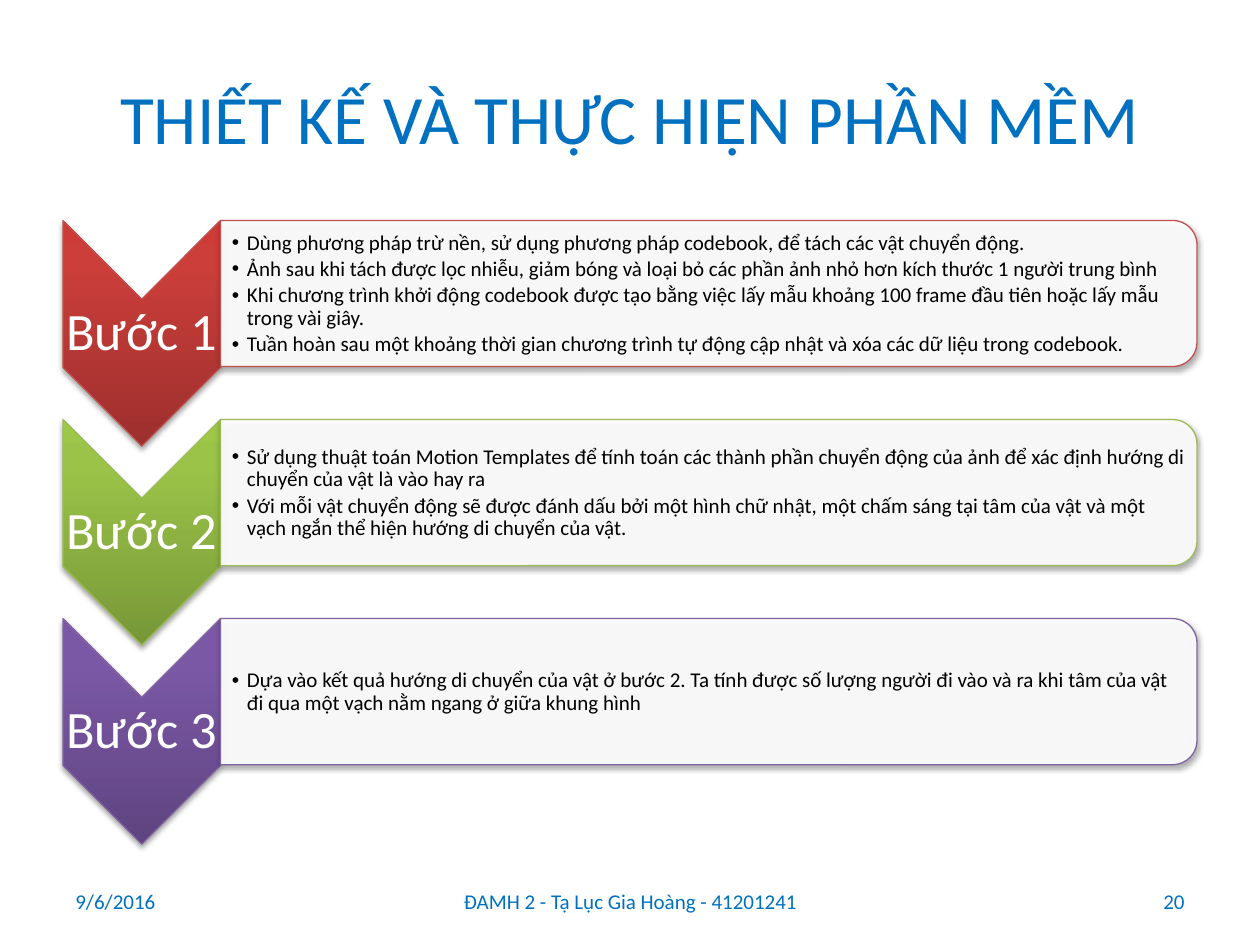
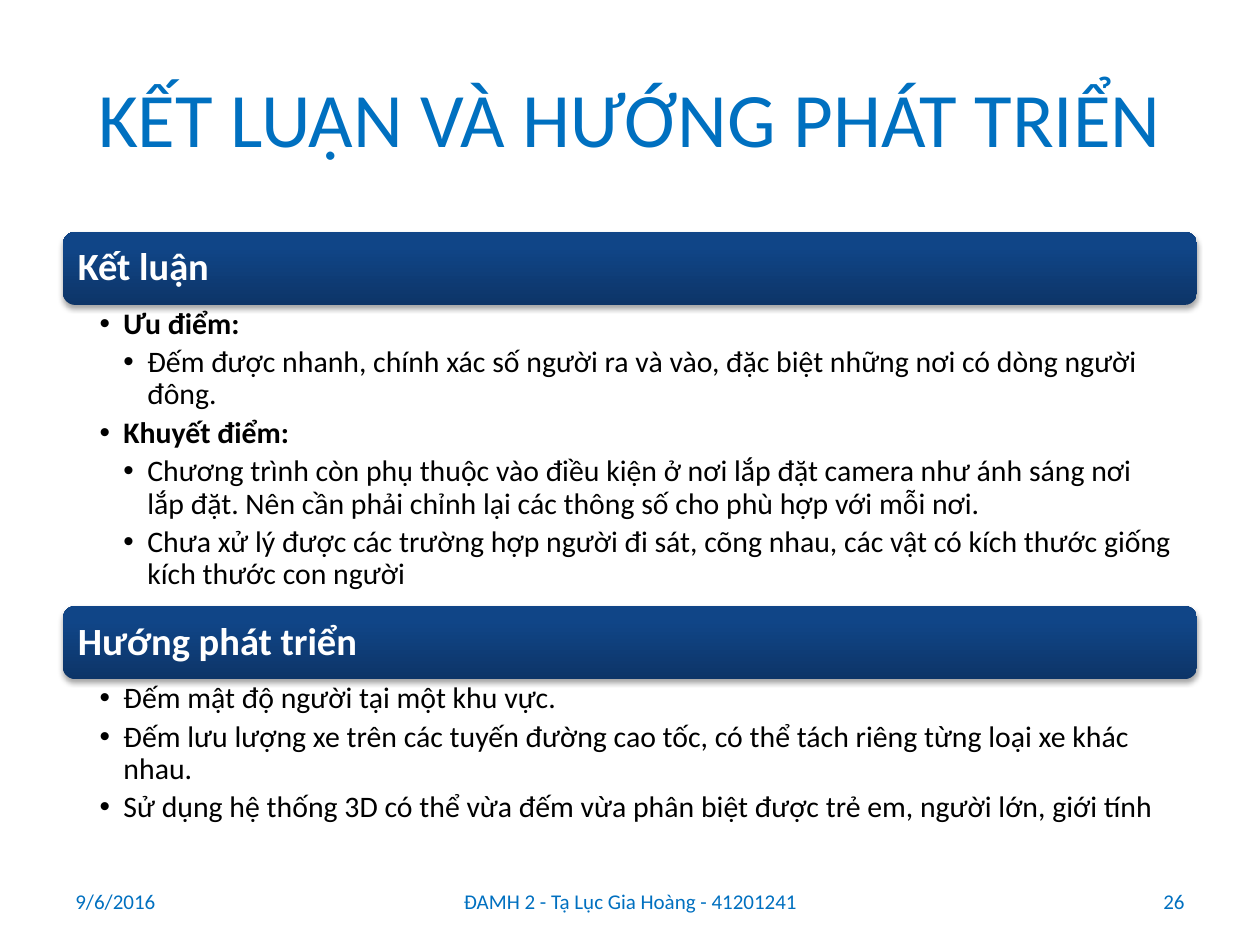
from pptx import Presentation
from pptx.dml.color import RGBColor
from pptx.enum.shapes import MSO_SHAPE
from pptx.enum.text import MSO_ANCHOR, PP_ALIGN
from pptx.oxml import parse_xml
from pptx.oxml.ns import nsdecls
from pptx.util import Inches, Pt

BLUE = RGBColor(0x00, 0x70, 0xC0)
BLACK = RGBColor(0x00, 0x00, 0x00)
WHITE = RGBColor(0xFF, 0xFF, 0xFF)
RED = RGBColor(0xC0, 0x50, 0x4D)
GREEN = RGBColor(0x9B, 0xBB, 0x59)
PURPLE = RGBColor(0x80, 0x64, 0xA2)
# Gradients run from bottom to top
REDS = RGBColor(0x9C, 0x2F, 0x2D), RGBColor(0xCB, 0x3E, 0x3A), RGBColor(0xCE, 0x3B, 0x37)
GREENS = RGBColor(0x77, 0x97, 0x37), RGBColor(0x9B, 0xC3, 0x48), RGBColor(0x9D, 0xC7, 0x46)
PURPLES = RGBColor(0x5F, 0x44, 0x80), RGBColor(0x7B, 0x58, 0xA6), RGBColor(0x7C, 0x57, 0xA8)
NAVIES = RGBColor(0x0D, 0x35, 0x68), RGBColor(0x10, 0x45, 0x87), RGBColor(0x0E, 0x45, 0x8A)

FONT = "Calibri"
LEFT, WIDE = 0.5, 9          # content column
DATE = "9/6/2016"
AUTHOR = "ĐAMH 2 - Tạ Lục Gia Hoàng - 41201241"


def write(frame, lines, size, color, inset=(0.1, 0.05, 0.1, 0.05), align=PP_ALIGN.LEFT,
          anchor=MSO_ANCHOR.MIDDLE, bold=False, step=0, after=0, pitch=None):
    """Fill a frame; lines are (level, text), and a step makes them bullets."""
    frame.word_wrap = True
    frame.vertical_anchor = anchor
    (frame.margin_left, frame.margin_top,
     frame.margin_right, frame.margin_bottom) = [Inches(i) for i in inset]
    for n, (level, text) in enumerate(lines):
        para = frame.paragraphs[0] if n == 0 else frame.add_paragraph()
        para.text = text
        if step:
            props = para._p.get_or_add_pPr()
            props.set("marL", str(Inches(step * level)))
            props.set("indent", str(-Inches(step)))
            props.append(parse_xml(f'<a:buFont {nsdecls("a")} typeface="Arial"/>'))
            props.append(parse_xml(f'<a:buChar {nsdecls("a")} char="•"/>'))
        para.alignment = align
        para.line_spacing = pitch
        para.space_after = Pt(after)
        for run in para.runs:
            run.font.name = FONT
            run.font.size = Pt(size)
            run.font.bold = bold or (step > 0 and text.endswith("điểm:"))
            run.font.color.rgb = color


def paint(shape, stops, edge):
    """Give a shape a gradient or a clear white fill, an edge and a soft shadow."""
    shape.fill.solid()
    shape.fill.fore_color.rgb = WHITE
    props = shape._element.spPr
    solid = props.find(".//{*}solidFill")
    if stops:
        marks = "".join(f'<a:gs pos="{pos}"><a:srgbClr val="{tone}"/></a:gs>'
                        for pos, tone in zip((0, 80000, 100000), stops))
        props.replace(solid, parse_xml(
            f'<a:gradFill {nsdecls("a")} rotWithShape="0"><a:gsLst>{marks}</a:gsLst>'
            '<a:lin ang="16200000" scaled="0"/></a:gradFill>'))
    else:
        solid[0].append(parse_xml(f'<a:alpha {nsdecls("a")} val="90000"/>'))
    if edge:
        shape.line.color.rgb = edge
        shape.line.width = Pt(0.75)
    else:
        shape.line.fill.background()
    shape.shadow.inherit = False
    props.find("{*}effectLst").append(parse_xml(
        f'<a:outerShdw {nsdecls("a")} blurRad="{Pt(3.1)}" dist="{Pt(1.8)}" dir="5400000" '
        'rotWithShape="0"><a:srgbClr val="000000"><a:alpha val="35000"/></a:srgbClr>'
        '</a:outerShdw>'))


deck = Presentation()
deck.slide_width, deck.slide_height = Inches(10), Inches(7.5)

# Titles and footers
slides = []
for title, size, number in (("THIẾT KẾ VÀ THỰC HIỆN PHẦN MỀM", 39.6, "20"),
                            ("KẾT LUẬN VÀ HƯỚNG PHÁT TRIỂN", 44, "26")):
    slide = deck.slides.add_slide(deck.slide_layouts[5])
    slides.append(slide)
    head = slide.shapes.title
    head.left, head.top, head.width, head.height = [
        Inches(i) for i in (LEFT, 0.3, WIDE, 1.25)]
    write(head.text_frame, [(0, title)], size, BLUE, align=PP_ALIGN.CENTER)
    for x, w, text, align in ((LEFT, 2.33, DATE, PP_ALIGN.LEFT),
                              (3.42, 3.17, AUTHOR, PP_ALIGN.CENTER),
                              (7.17, 2.33, number, PP_ALIGN.RIGHT)):
        foot = slide.shapes.add_textbox(Inches(x), Inches(6.95), Inches(w), Inches(0.4))
        write(foot.text_frame, [(0, text)], 12, BLUE, align=align)

# Slide 1: three steps, each a chevron and a panel turned by 90 degrees
STEPS = (
    (REDS, RED, (
        "Dùng phương pháp trừ nền, sử dụng phương pháp codebook, để tách các vật chuyển động.",
        "Ảnh sau khi tách được lọc nhiễu, giảm bóng và loại bỏ các phần ảnh nhỏ hơn kích thước 1 người trung bình",
        "Khi chương trình khởi động codebook được tạo bằng việc lấy mẫu khoảng 100 frame đầu tiên hoặc lấy mẫu trong vài giây.",
        "Tuần hoàn sau một khoảng thời gian chương trình tự động cập nhật và xóa các dữ liệu trong codebook.")),
    (GREENS, GREEN, (
        "Sử dụng thuật toán Motion Templates để tính toán các thành phần chuyển động của ảnh để xác định hướng di chuyển của vật là vào hay ra",
        "Với mỗi vật chuyển động sẽ được đánh dấu bởi một hình chữ nhật, một chấm sáng tại tâm của vật và một vạch ngắn thể hiện hướng di chuyển của vật.")),
    (PURPLES, PURPLE, (
        "Dựa vào kết quả hướng di chuyển của vật ở bước 2. Ta tính được số lượng người đi vào và ra khi tâm của vật đi qua một vạch nằm ngang ở giữa khung hình",)),
)
ARROW, TALL, PANEL = 1.25, 1.79, 1.16
SPLIT = LEFT + ARROW
shapes = slides[0].shapes
for n, (stops, edge, points) in enumerate(STEPS):
    top = 1.75 + 1.58 * n
    for kind, x, w, h, fill in ((MSO_SHAPE.CHEVRON, LEFT, ARROW, TALL, stops),
                                (MSO_SHAPE.ROUND_2_SAME_RECTANGLE, SPLIT, WIDE - ARROW, PANEL, None)):
        turn = (w - h) / 2
        shape = shapes.add_shape(kind, Inches(x + turn), Inches(top - turn), Inches(h), Inches(w))
        shape.rotation = 90
        paint(shape, fill, edge)
    label = shapes.add_textbox(Inches(LEFT), Inches(top + ARROW / 2), Inches(ARROW), Inches(0.54))
    write(label.text_frame, [(0, f"Bước {n + 1}")], 30, WHITE, inset=[0.02] * 4,
          align=PP_ALIGN.CENTER, pitch=0.9)
    body = shapes.add_textbox(Inches(SPLIT), Inches(top + 0.06), Inches(7.69), Inches(1.05))
    write(body.text_frame, [(1, text) for text in points], 12, BLACK,
          inset=(0.09, 0.01, 0.01, 0.01), step=0.12, after=2.1, pitch=0.9)

# Slide 2: two headed lists
PARTS = (
    ("Kết luận", 1.84, 2.39, (
        (1, "Ưu điểm:"),
        (2, "Đếm được nhanh, chính xác số người ra và vào, đặc biệt những nơi có dòng người đông."),
        (1, "Khuyết điểm:"),
        (2, "Chương trình còn phụ thuộc vào điều kiện ở nơi lắp đặt camera như ánh sáng nơi lắp đặt. Nên cần phải chỉnh lại các thông số cho phù hợp với mỗi nơi."),
        (2, "Chưa xử lý được các trường hợp người đi sát, cõng nhau, các vật có kích thước giống kích thước con người"))),
    ("Hướng phát triển", 4.81, 1.22, (
        (1, "Đếm mật độ người tại một khu vực."),
        (1, "Đếm lưu lượng xe trên các tuyến đường cao tốc, có thể tách riêng từng loại xe khác nhau."),
        (1, "Sử dụng hệ thống 3D có thể vừa đếm vừa phân biệt được trẻ em, người lớn, giới tính"))),
)
BAR = 0.58
shapes = slides[1].shapes
for name, top, high, points in PARTS:
    bar = shapes.add_shape(MSO_SHAPE.ROUNDED_RECTANGLE, Inches(LEFT), Inches(top),
                           Inches(WIDE), Inches(BAR))
    paint(bar, NAVIES, None)
    write(bar.text_frame, [(0, name)], 22, WHITE, inset=(0.09, 0.09, 0.09, 0.09),
          bold=True, pitch=0.9)
    body = shapes.add_textbox(Inches(LEFT), Inches(top + BAR), Inches(WIDE), Inches(high))
    write(body.text_frame, points, 17, BLACK, inset=(0.29, 0.03, 0.17, 0.03),
          anchor=MSO_ANCHOR.TOP, step=0.19, after=3.6, pitch=0.9)

deck.save("out.pptx")
